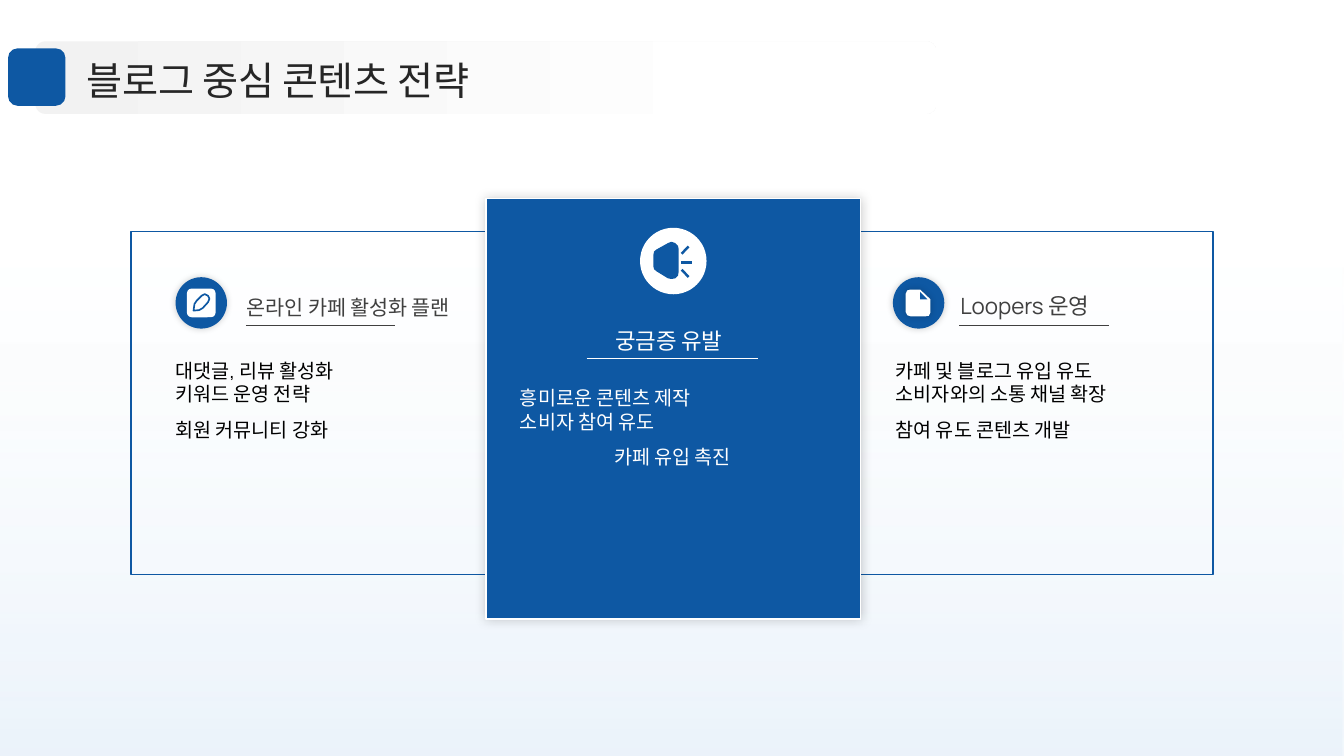
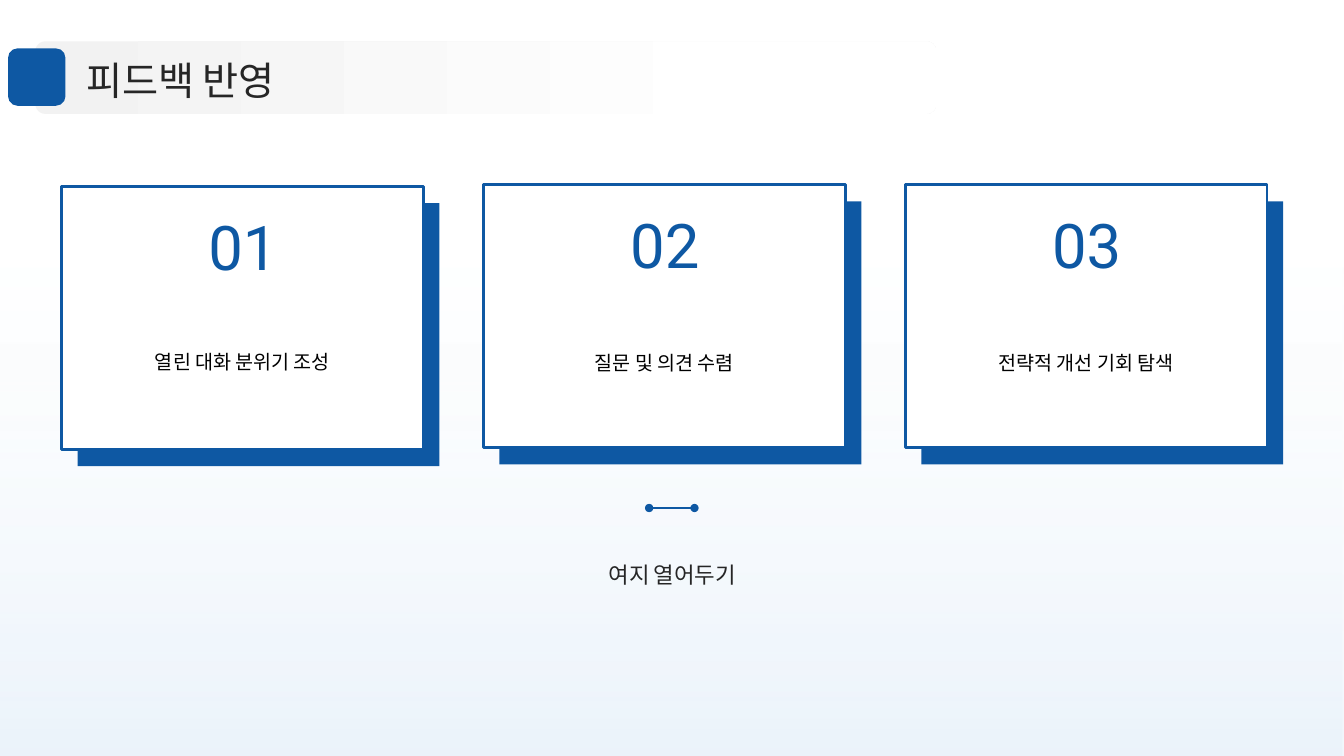
from dataclasses import dataclass

from lxml import etree
from pptx import Presentation
from pptx.dml.color import RGBColor
from pptx.enum.shapes import MSO_CONNECTOR, MSO_SHAPE
from pptx.enum.text import MSO_ANCHOR, MSO_AUTO_SIZE, PP_ALIGN
from pptx.oxml.ns import qn
from pptx.util import Inches, Pt

RECT, ROUND, OVAL = MSO_SHAPE.RECTANGLE, MSO_SHAPE.ROUNDED_RECTANGLE, MSO_SHAPE.OVAL
STRAIGHT = MSO_CONNECTOR.STRAIGHT
FIXED_SIZE = MSO_AUTO_SIZE.NONE
LEFT, CENTER = PP_ALIGN.LEFT, PP_ALIGN.CENTER
TOP, MIDDLE, BOTTOM = MSO_ANCHOR.TOP, MSO_ANCHOR.MIDDLE, MSO_ANCHOR.BOTTOM
TITLE_ONLY, COMPARISON = 5, 4  # layout numbers
COLS, ROWS = 160, 90
CELL = Inches(1 / 12)


@dataclass(frozen=True)
class Theme:
    blue: str = "0E58A3"
    white: str = "FFFFFF"
    black: str = "000000"
    ink: str = "262626"
    heading_ink: str = "404040"
    sky: str = "CFE3F5"
    band: str = "F2F2F2"
    font: str = "Manrope"
    number_font: str = "Roboto"
    title: float = 28
    number: float = 44
    heading: float = 16
    long_heading: float = 14.8
    body: float = 14


THEME = Theme()


@dataclass(frozen=True)
class Box:
    """An area counted in grid columns and rows."""
    x: float
    y: float
    w: float
    h: float

    def within(self, x, y, w, h):
        return Box(self.x + x, self.y + y, w, h)

    def inner(self, left, top, right, bottom):
        """An area given in percent of this box."""
        return self.within(self.w * left / 100, self.h * top / 100,
                           self.w * (right - left) / 100, self.h * (bottom - top) / 100)

    def emu(self):
        return [round(value * CELL) for value in (self.x, self.y, self.w, self.h)]


PAGE = Box(0, 0, COLS, ROWS)


def rgb(color):
    return RGBColor.from_string(color)


# Drawing helpers
def paint(shape, fill=None, line=None, width=1, glow=0):
    shape.shadow.inherit = False
    if fill:
        shape.fill.solid()
        shape.fill.fore_color.rgb = rgb(fill)
    else:
        shape.fill.background()
    if line:
        shape.line.color.rgb = rgb(line)
        shape.line.width = Pt(width)
    else:
        shape.line.fill.background()
    if glow:
        effects = shape.element.spPr.find(qn("a:effectLst"))
        shadow = etree.SubElement(effects, qn("a:outerShdw"), blurRad=str(Pt(glow)),
                                  dist="0", dir="0", algn="ctr", rotWithShape="0")
        color = etree.SubElement(shadow, qn("a:srgbClr"), val=THEME.black)
        etree.SubElement(color, qn("a:alpha"), val="20000")
    return shape


def add_block(slide, box, kind=RECT, radius=None, **look):
    block = slide.shapes.add_shape(kind, *box.emu())
    if radius is not None:
        block.adjustments[0] = radius
    return paint(block, **look)


def shade(block, stops, angle):
    """Gradient from (position, color, opacity in percent) stops."""
    block.fill.gradient()
    block.fill.gradient_angle = angle
    for stop, (position, color, _) in zip(block.fill.gradient_stops, stops):
        stop.position = position
        stop.color.rgb = rgb(color)
    colors = block.element.spPr.findall(".//" + qn("a:gs") + "/" + qn("a:srgbClr"))
    for color, (_, _, opacity) in zip(colors, stops):
        if opacity < 100:
            etree.SubElement(color, qn("a:alpha"), val=str(opacity * 1000))


def add_rule(slide, box, color, width=0.5, dots=False):
    """Line from the top left to the bottom right of the box."""
    x, y, w, h = box.emu()
    rule = slide.shapes.add_connector(STRAIGHT, x, y, x + w, y + h)
    rule.line.color.rgb = rgb(color)
    rule.line.width = Pt(width)
    outline = rule.element.spPr.find(qn("a:ln"))
    for tip in ("a:headEnd", "a:tailEnd") if dots else ():
        etree.SubElement(outline, qn(tip), type="oval")
    etree.SubElement(rule.element.spPr, qn("a:effectLst"))


def add_outline(slide, box, points, **look):
    """Closed outline whose points are percents of the box."""
    corners = [tuple(box.inner(x, y, x, y).emu()[:2]) for x, y in points]
    builder = slide.shapes.build_freeform(*corners[0])
    builder.add_line_segments(corners[1:], close=True)
    return paint(builder.convert_to_shape(), **look)


# Text helpers
def claim(placeholder, box):
    """Move a placeholder to the box and in front of what is drawn so far."""
    placeholder.left, placeholder.top, placeholder.width, placeholder.height = box.emu()
    placeholder.element.getparent().append(placeholder.element)
    return placeholder


def add_label(slide, box):
    return slide.shapes.add_textbox(*box.emu())


def write(shape, lines, size, color, align=LEFT, anchor=TOP, leading=1.3,
          font=THEME.font, margins=None):
    """The last line takes align and leading; lines above it stay left and single."""
    frame = shape.text_frame
    frame.word_wrap = True
    frame.auto_size = FIXED_SIZE
    frame.vertical_anchor = anchor
    if margins is not None:
        frame.margin_left = frame.margin_right = Inches(margins)
        frame.margin_top = frame.margin_bottom = Inches(margins / 2)
    for index, line in enumerate(lines):
        paragraph = frame.add_paragraph() if index else frame.paragraphs[0]
        properties = paragraph._p.get_or_add_pPr()
        properties.set("marL", "0")
        properties.set("indent", "0")
        etree.SubElement(properties, qn("a:buNone"))
        last = index == len(lines) - 1
        paragraph.alignment = align if last else LEFT
        paragraph.line_spacing = leading if last else 1.0
        paragraph.space_before = Pt(0)
        run = paragraph.add_run()
        run.text = line
        run.font.name, run.font.size, run.font.bold = font, Pt(size), False
        run.font.color.rgb = rgb(color)
        etree.SubElement(run._r.get_or_add_rPr(), qn("a:ea"), typeface=font)


# Parts shared by the slides
def add_page(deck, layout, title):
    slide = deck.slides.add_slide(deck.slide_layouts[layout])
    backdrop = add_block(slide, PAGE, fill=THEME.white)
    shade(backdrop, [(0, THEME.sky, 41), (0.68, THEME.white, 20)], 90)
    band = add_block(slide, PAGE.within(4.2, 4.92, 107.28, 8.64), ROUND, 0.14, fill=THEME.band)
    shade(band, [(0, THEME.band, 100), (0.8, THEME.white, 100)], 0)
    heading = claim(slide.shapes.title, PAGE.within(10.32, 6.12, 140, 6.12))
    write(heading, [title], THEME.title, THEME.ink, anchor=MIDDLE, leading=1.1, margins=0)
    add_block(slide, PAGE.within(0.96, 5.76, 6.84, 6.84), ROUND, fill=THEME.blue)
    return slide


# Icons, drawn in percent of their round badge
def draw_pen(slide, badge):
    add_block(slide, badge.inner(22, 22, 78, 78), ROUND, 0.17, fill=THEME.white)
    nib = [(35, 65), (37, 52), (41, 46), (51, 36), (57, 33), (63, 36),
           (66, 42), (63, 49), (53, 60), (46, 64)]
    add_outline(slide, badge, nib, line=THEME.blue, width=1.2)


def draw_document(slide, badge):
    sheet = [(25, 32), (28, 26), (34, 24), (53, 24), (73, 43), (73, 69),
             (70, 75), (64, 76), (34, 76), (28, 74), (25, 68)]
    add_outline(slide, badge, sheet, fill=THEME.white, glow=5)
    add_outline(slide, badge, [(53, 29), (53, 43), (67, 43)], fill=THEME.blue)


def draw_megaphone(slide, badge):
    horn = [(47, 21), (53, 23), (57, 27), (58, 32), (58, 66), (57, 72), (53, 76), (47, 77),
            (42, 76), (24, 65), (21, 62), (20, 58), (20, 41), (21, 36), (24, 33), (42, 23)]
    add_outline(slide, badge, horn, fill=THEME.blue)
    for ray in [(62.5, 39, 73, 28), (62, 52, 78, 52), (62.5, 63, 73, 74)]:
        add_rule(slide, badge.inner(*ray), THEME.blue, 1.75)


# Strategy slide
def add_side_panel(slide, box, holders, heading, size, points, heading_x, list_x, draw_icon):
    add_block(slide, box, line=THEME.blue)
    heading_holder, list_holder = holders
    write(claim(heading_holder, box.within(heading_x, 5.52, 27.48, 5.52)), [heading], size,
          THEME.heading_ink, anchor=BOTTOM)
    write(claim(list_holder, box.within(list_x, 14.52, 35.4, 24.6)), points, THEME.body,
          THEME.black, leading=1.5)
    add_rule(slide, box.within(heading_x + 1.08, 11.16, 17.8, 0), THEME.heading_ink)
    badge = box.within(5.3, 5.4, 6.12, 6.12)
    add_block(slide, badge, OVAL, fill=THEME.blue, glow=5)
    draw_icon(slide, badge)


def add_centre_panel(slide, box, heading, points):
    add_block(slide, box, fill=THEME.blue, line=THEME.white, glow=8)
    write(add_label(slide, box.within(2.4, 12.12, 38.76, 6.96)), [heading], THEME.heading,
          THEME.white, CENTER, BOTTOM)
    write(add_label(slide, box.within(2.88, 21.72, 38.76, 27.12)), points, THEME.body,
          THEME.white, CENTER, leading=1.5)
    add_rule(slide, box.within(12, 19.08, 20.4, 0), THEME.white)
    badge = box.within(18.36, 3.48, 7.92, 7.92)
    add_block(slide, badge, OVAL, fill=THEME.white)
    draw_megaphone(slide, badge)


def build_strategy(deck):
    slide = add_page(deck, COMPARISON, "블로그 중심 콘텐츠 전략")
    holders = {item.placeholder_format.idx: item for item in slide.placeholders}
    add_side_panel(slide, PAGE.within(15.6, 27.6, 43.4, 40.8), (holders[1], holders[2]),
                   "온라인 카페 활성화 플랜", THEME.long_heading,
                   ["대댓글, 리뷰 활성화", "키워드 운영 전략", "회원 커뮤니티 강화"],
                   12.6, 4.08, draw_pen)
    add_side_panel(slide, PAGE.within(101, 27.6, 43.4, 40.8), (holders[3], holders[4]),
                   "Loopers 운영", THEME.heading,
                   ["카페 및 블로그 유입 유도", "소비자와의 소통 채널 확장", "참여 유도 콘텐츠 개발"],
                   12.12, 4.44, draw_document)
    add_centre_panel(slide, PAGE.within(57.84, 23.64, 44.64, 50.04), "궁금증 유발",
                     ["흥미로운 콘텐츠 제작", "소비자 참여 유도", "카페 유입 촉진"])


# Feedback slide
def add_card(slide, box, number, caption, caption_y):
    add_block(slide, box.within(1.92, 1.98, box.w, box.h), fill=THEME.blue)
    add_block(slide, box, ROUND, 0, fill=THEME.white, line=THEME.blue, width=2)
    number_area = add_block(slide, box.within(10.4, 1.98, 22.4, 10.08), fill=THEME.white)
    write(number_area, [number], THEME.number, THEME.blue, CENTER, BOTTOM, 1.1,
          THEME.number_font)
    caption_area = add_block(slide, box.within(3, caption_y, 37.08, 17), fill=THEME.white)
    write(caption_area, [caption], THEME.body, THEME.black, CENTER, MIDDLE)


def build_feedback(deck):
    slide = add_page(deck, TITLE_ONLY, "피드백 반영")
    cards = [("열린 대화 분위기 조성", 22.2, 11.9),
             ("질문 및 의견 수렴", 22, 12.24),
             ("전략적 개선 기회 탐색", 22, 12.24)]
    for index, (caption, top, caption_y) in enumerate(cards):
        box = PAGE.within(7.32 + index * 50.22, top, 43.08, 31.32)
        add_card(slide, box, f"{index + 1:02d}", caption, caption_y)
    # Closing remark
    add_rule(slide, PAGE.within(77.28, 60.48, 5.4, 0), THEME.blue, 1, dots=True)
    write(add_label(slide, PAGE.within(8.88, 62.52, 142.32, 10.8)), ["여지 열어두기"],
          THEME.heading, THEME.ink, CENTER, MIDDLE, margins=0.07)


def main():
    deck = Presentation()
    deck.slide_width, deck.slide_height = COLS * CELL, ROWS * CELL
    build_strategy(deck)
    build_feedback(deck)
    deck.save("out.pptx")


if __name__ == "__main__":
    main()
